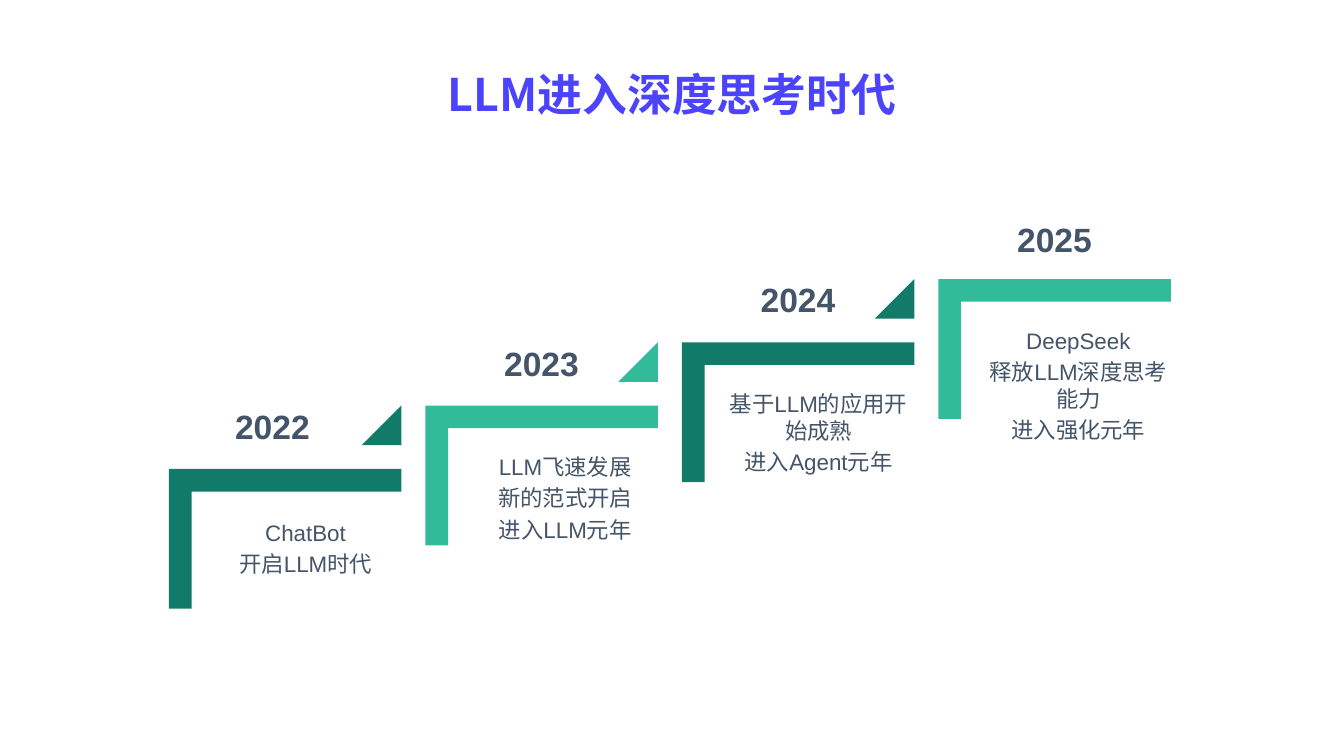
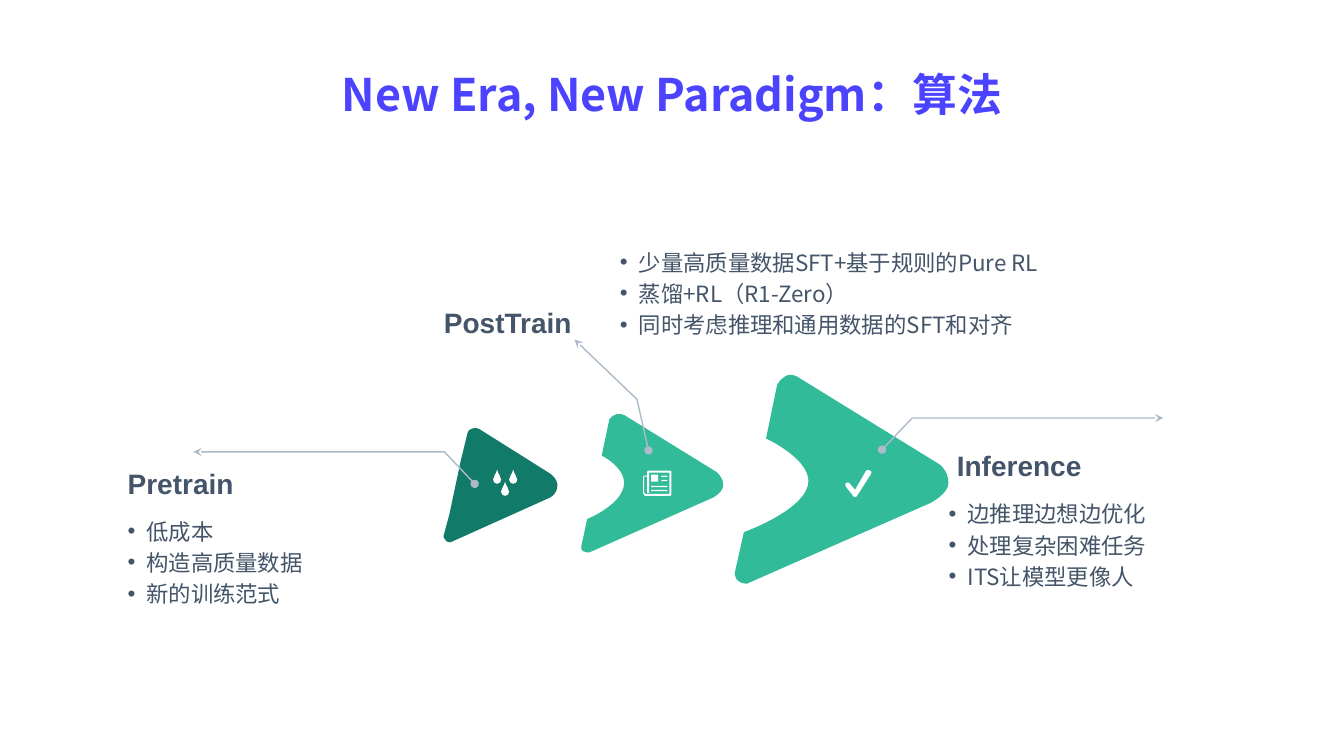
"""Build two slides on the rise of LLMs: a staircase of years and the training paradigm."""
import dataclasses

import pptx
import pptx.dml.color
import pptx.enum.shapes
import pptx.enum.text
import pptx.oxml.ns
import pptx.util
from lxml import etree

Pt = pptx.util.Pt
qn = pptx.oxml.ns.qn
SHAPES = pptx.enum.shapes.MSO_SHAPE
ALIGN = pptx.enum.text.PP_ALIGN


@dataclasses.dataclass(frozen=True)
class Theme:
    title: str = "4C43FF"
    dark: str = "117A68"
    light: str = "32BB99"
    ink: str = "445469"
    callout: str = "ADBACA"
    white: str = "FFFFFF"
    latin: str = "Arial"
    cjk: str = "Noto Sans CJK SC"
    title_size: int = 32
    year_size: int = 24
    label_size: int = 20
    body_size: int = 16


THEME = Theme()
WIDTH, HEIGHT = 960, 540

STEPS_TITLE = "LLM进入深度思考时代"
STEPS = [
    {"year": "2022", "year_shift": (-18.2, -45), "width": 136.8, "drop": 36,
     "lines": ["ChatBot", "开启LLM时代"]},
    {"year": "2023", "year_shift": (-9.2, -45), "width": 132.4, "drop": 34,
     "lines": ["LLM飞速发展", "新的范式开启", "进入LLM元年"]},
    {"year": "2024", "year_shift": (-9.2, -45), "width": 136.8, "drop": 34,
     "lines": ["基于LLM的应用开始成熟", "进入Agent元年"]},
    {"year": "2025", "year_shift": (-9.2, -43), "width": 132, "drop": 34.2,
     "lines": ["DeepSeek", "释放LLM深度思考能力", "进入强化元年"]},
]

PARADIGM_TITLE = "New Era, New Paradigm：算法"
STAGES = [
    {"label": "Pretrain", "label_at": (91.2, 333.4), "list_at": (91.1, 370, 170.6),
     "callout": [(339.1, 345.6), (317.5, 322.8), (138.2, 322.8)],
     "points": ["低成本", "构造高质量数据", "新的训练范式"]},
    {"label": "PostTrain", "label_at": (317.1, 218.2), "list_at": (442.8, 177.8, 304.6),
     "callout": [(463.2, 321.8), (455, 285.3), (410.4, 242.6)],
     "points": ["少量高质量数据SFT+基于规则的Pure RL", "蒸馏+RL（R1-Zero）",
                "同时考虑推理和通用数据的SFT和对齐"]},
    {"label": "Inference", "label_at": (683.5, 320.4), "list_at": (677.6, 357.7, 193.7),
     "callout": [(630, 321.2), (651.6, 298.6), (830.9, 298.6)],
     "points": ["边推理边想边优化", "处理复杂困难任务", "ITS让模型更像人"]},
]

PRETRAIN_ARROW = [
    (12.2, 24.5), (17.3, 3.6), (17.3, 3.6, 18, 1.4, 20.9, 0.7),
    (23.8, 0, 25.9, 1.4, 25.9, 1.4), (76.3, 33.1),
    (76.3, 33.1, 81.4, 36.7, 81.4, 41), (81.4, 48.2, 75.6, 50.4, 75.6, 50.4),
    (5, 82.1), (5, 82.1, 2.9, 82.1, 2.2, 81.4), (0, 79.2, 0, 77.8, 0, 77.8), (4.3, 61.9),
]
POSTTRAIN_ARROW = [
    (102.2, 51.1), (102.2, 56.9, 94.3, 60.5, 94.3, 60.5), (6.5, 99.4),
    (6.5, 99.4, 3.6, 99.4, 2.2, 98.6), (0, 97.2, 1, 94.3, 1, 94.3), (5, 75.6),
    (5, 75.6, 31.4, 64.8, 31.4, 49.7), (31.4, 38.2, 15.4, 30.2, 15.4, 30.2), (20.9, 4.3),
    (20.9, 4.3, 23, 1.4, 25.9, 0.7), (29.5, 0, 31.7, 1.4, 31.7, 1.4), (97.2, 41.8),
    (97.2, 41.8, 102.2, 45.4, 102.2, 51.1),
]
INFERENCE_ARROW = [
    (152.6, 77.8), (152.6, 85.7, 139.7, 92.2, 139.7, 92.2), (8.6, 149.8),
    (8.6, 149.8, 4.3, 149.8, 2.2, 147.6), (0, 146.2, 0, 141.8, 0, 141.8), (6.5, 113),
    (6.5, 113, 52.6, 96.5, 52.6, 76.3), (52.2, 59.8, 22.3, 46.1, 22.3, 46.1), (30.2, 7.9),
    (30.2, 7.9, 32.4, 2.9, 38.2, 0.7), (42.5, 0, 46.1, 2.9, 46.1, 2.9), (145.4, 64.1),
    (145.4, 64.1, 152.6, 68.4, 152.6, 77.8),
]
ARROWS = [
    (PRETRAIN_ARROW, (316.8, 305.3), THEME.dark),
    (POSTTRAIN_ARROW, (414.4, 295.2), THEME.light),
    (INFERENCE_ARROW, (524.9, 267.1), THEME.light),
]
DROP = [
    (0, 0), (-0.7, 3.6, -2.9, 4.3, -2.9, 7.2), (-2.9, 8.6, -1.4, 10.1, 0, 10.1),
    (1.8, 10.1, 2.9, 8.6, 2.9, 7.2), (2.9, 4.3, 0.7, 3.6, 0, 0),
]
DROP_TOPS = [(2.9, 0), (14.4, 0), (8.6, 8.6)]
DROPS_AT = (352.2, 335.5)
CHECK = [
    (7.2, 19.4), (6.5, 19.4, 5.8, 19.4, 5.8, 18.7), (0.7, 12.2),
    (0, 11.5, 0, 10.1, 0.7, 9.4), (2.2, 8.6, 2.9, 9.4, 3.6, 10.1), (7.2, 14.4), (15.1, 0.7),
    (15.8, 0, 17.3, 0, 18, 0.7), (18.7, 0.7, 19.4, 2.2, 18.7, 2.9), (8.6, 18.7),
    (8.6, 19.4, 7.9, 19.4, 7.2, 19.4),
]
CHECK_AT = (603.6, 335.5)
PAPER_EDGE = [
    (19.4, 0), (3.6, 0), (2.9, 0.7), (2.9, 3.6), (0.7, 3.6), (0, 4.3), (0, 15.8),
    (0, 16.6, 0.7, 18, 1.4, 18), (19.4, 18), (20.2, 17.3), (20.2, 0.7),
]
PAPER_HOLE = [
    (18.7, 16.6), (1.4, 16.6), (0.7, 15.8), (0.7, 4.3), (2.9, 4.3), (2.9, 15.8),
    (4.3, 15.8), (4.3, 1.4), (18.7, 1.4),
]
PAPER_PRINT = [(5.8, 2.9, 5, 5), (13, 3.6, 4.3, 1), (13, 6.5, 4.3, 1),
               (5.8, 10.8, 11.5, 1), (5.8, 13.7, 11.5, 1)]
PAPER_AT = (459.4, 336.2)


def rgb(colour):
    return pptx.dml.color.RGBColor.from_string(colour)


def paint(shape, colour):
    shape.shadow.inherit = False
    shape.fill.solid()
    shape.fill.fore_color.rgb = rgb(colour)
    shape.line.fill.background()


def add_preset(slide, kind, box, colour):
    shape = slide.shapes.add_shape(kind, *map(Pt, box))
    paint(shape, colour)
    return shape


def shift(outline, offset):
    return [tuple(value + offset[i % 2] for i, value in enumerate(entry)) for entry in outline]


def curve_segments(shape, outlines):
    segments = iter(list(shape._element.iter(qn("a:lnTo"))))
    for outline in outlines:
        for entry in outline[1:]:
            segment = next(segments)
            if len(entry) == 6:
                segment.tag = qn("a:cubicBezTo")
                for _ in range(2):
                    following = next(segments)
                    segment.append(following[0])
                    following.getparent().remove(following)


def add_outline(slide, outlines, at, colour):
    contours = [[(Pt(entry[i]), Pt(entry[i + 1])) for entry in shift(outline, at)
                 for i in range(0, len(entry), 2)] for outline in outlines]
    builder = slide.shapes.build_freeform(*contours[0][0])
    for i, contour in enumerate(contours):
        if i:
            builder.move_to(*contour[0])
        builder.add_line_segments(contour[1:], close=True)
    shape = builder.convert_to_shape()
    curve_segments(shape, outlines)
    paint(shape, colour)


def add_callout(slide, points):
    start, *rest = [(Pt(x), Pt(y)) for x, y in points]
    builder = slide.shapes.build_freeform(*start)
    builder.add_line_segments(rest, close=False)
    callout = builder.convert_to_shape()
    callout.shadow.inherit = False
    callout.fill.background()
    callout.line.color.rgb = rgb(THEME.callout)
    callout.line.width = Pt(1)
    line = callout.line._get_or_add_ln()
    for end, kind in (("a:headEnd", "oval"), ("a:tailEnd", "stealth")):
        etree.SubElement(line, qn(end), type=kind)


def add_text(slide, lines, at, width, size, font=THEME.latin, colour=THEME.ink,
             bold=False, align=ALIGN.LEFT, leading=1.2, bullet=False):
    height = size * (leading * len(lines) + 0.2 * (len(lines) - 1))
    frame = slide.shapes.add_textbox(*map(Pt, (*at, width, height))).text_frame
    frame.word_wrap = True
    frame.margin_left = frame.margin_right = frame.margin_top = frame.margin_bottom = 0
    for i, line in enumerate(lines):
        paragraph = frame.paragraphs[0] if i == 0 else frame.add_paragraph()
        paragraph.text = line
        paragraph.alignment = align
        paragraph.line_spacing = Pt(size * leading)
        if i:
            paragraph.space_before = Pt(size * 0.2)
        properties = paragraph._p.get_or_add_pPr()
        if bullet:
            properties.set("marL", str(Pt(13.5)))
            properties.set("indent", str(-Pt(13.5)))
            etree.SubElement(properties, qn("a:buFont"), typeface=THEME.latin)
            etree.SubElement(properties, qn("a:buChar"), char="•")
        paragraph.font.name = font
        paragraph.font.size = Pt(size)
        paragraph.font.bold = bold
        paragraph.font.color.rgb = rgb(colour)
        etree.SubElement(properties.find(qn("a:defRPr")), qn("a:ea"), typeface=THEME.cjk)


def add_titled_slide(deck, title):
    slide = deck.slides.add_slide(deck.slide_layouts[6])
    add_text(slide, [title], (0, 36), WIDTH, THEME.title_size, THEME.cjk, THEME.title,
             bold=True, align=ALIGN.CENTER, leading=1.56)
    return slide


def build_steps(deck):
    slide = add_titled_slide(deck, STEPS_TITLE)
    length, depth, bar, triangle = 166, 99.8, 16.2, 28.2
    corner = [(0, 0), (length, 0), (length, bar), (bar, bar), (bar, depth), (0, depth)]
    for i, step in enumerate(STEPS):
        left, top = 120.7 + 183.2 * i, 334.9 - 45.2 * i
        right = left + length
        colour = (THEME.dark, THEME.light)[i % 2]
        add_outline(slide, [corner], (left, top), colour)
        if i < len(STEPS) - 1:
            box = (right - triangle, top - 45.2, triangle, triangle)
            flag = add_preset(slide, SHAPES.ISOSCELES_TRIANGLE, box, colour)
            flag.adjustments[0] = 1.0
        dx, dy = step["year_shift"]
        add_text(slide, [step["year"]], (left + dx, top + dy), 184.3,
                 THEME.year_size, bold=True, align=ALIGN.CENTER)
        add_text(slide, step["lines"], (right - step["width"], top + step["drop"]),
                 step["width"], THEME.body_size, align=ALIGN.CENTER)


def build_paradigm(deck):
    slide = add_titled_slide(deck, PARADIGM_TITLE)
    for outline, at, colour in ARROWS:
        add_outline(slide, [outline], at, colour)
    for stage in STAGES:
        add_callout(slide, stage["callout"])
        add_text(slide, [stage["label"]], stage["label_at"], 116, THEME.label_size, bold=True)
        *at, width = stage["list_at"]
        add_text(slide, stage["points"], at, width, THEME.body_size, THEME.cjk,
                 leading=1.19, bullet=True)
    add_outline(slide, [shift(DROP, top) for top in DROP_TOPS], DROPS_AT, THEME.white)
    add_outline(slide, [CHECK], CHECK_AT, THEME.white)
    add_outline(slide, [PAPER_EDGE, PAPER_HOLE], PAPER_AT, THEME.white)
    for x, y, width, height in PAPER_PRINT:
        box = (PAPER_AT[0] + x, PAPER_AT[1] + y, width, height)
        add_preset(slide, SHAPES.RECTANGLE, box, THEME.white)


def main():
    deck = pptx.Presentation()
    deck.slide_width, deck.slide_height = Pt(WIDTH), Pt(HEIGHT)
    build_steps(deck)
    build_paradigm(deck)
    deck.save("out.pptx")


if __name__ == "__main__":
    main()
